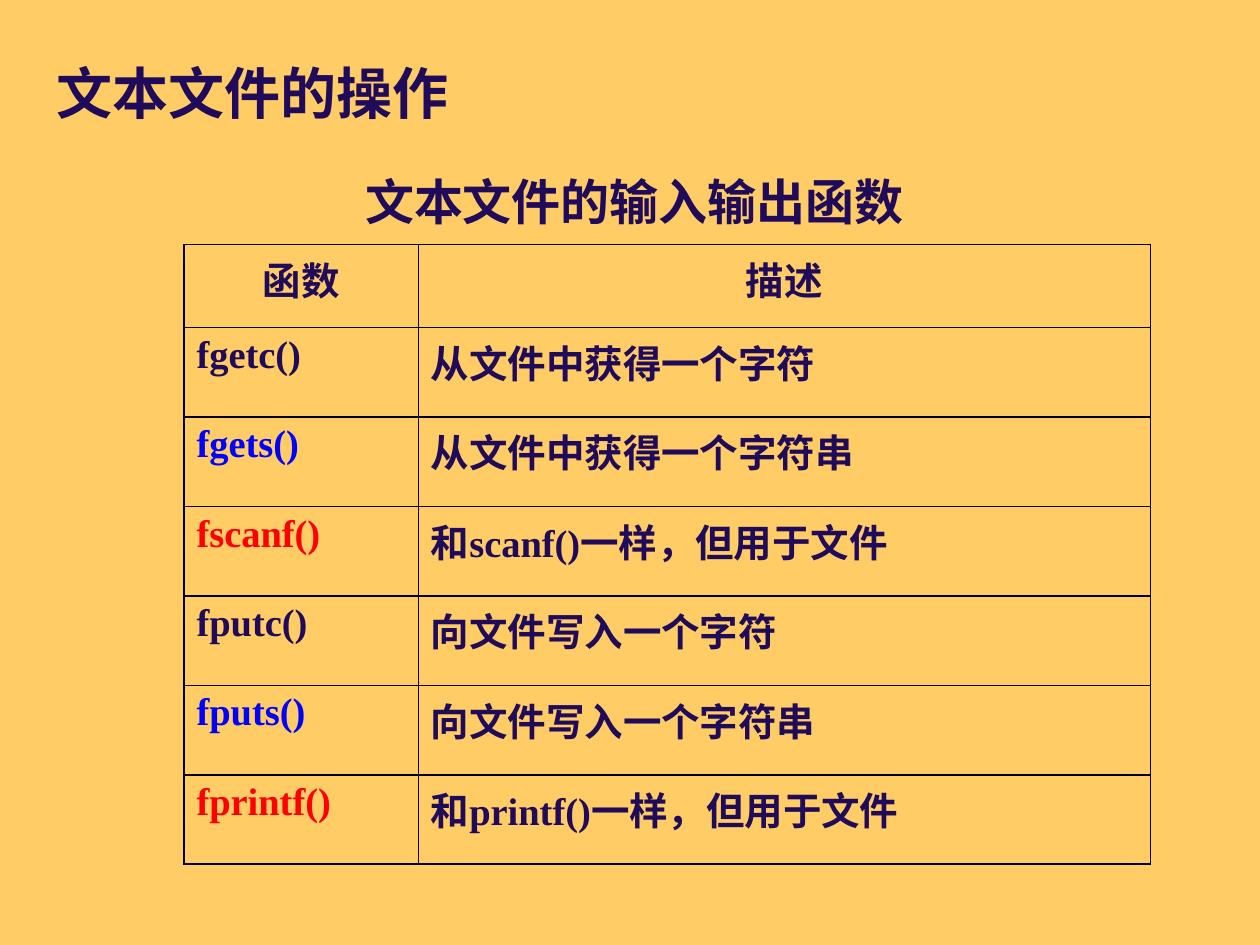
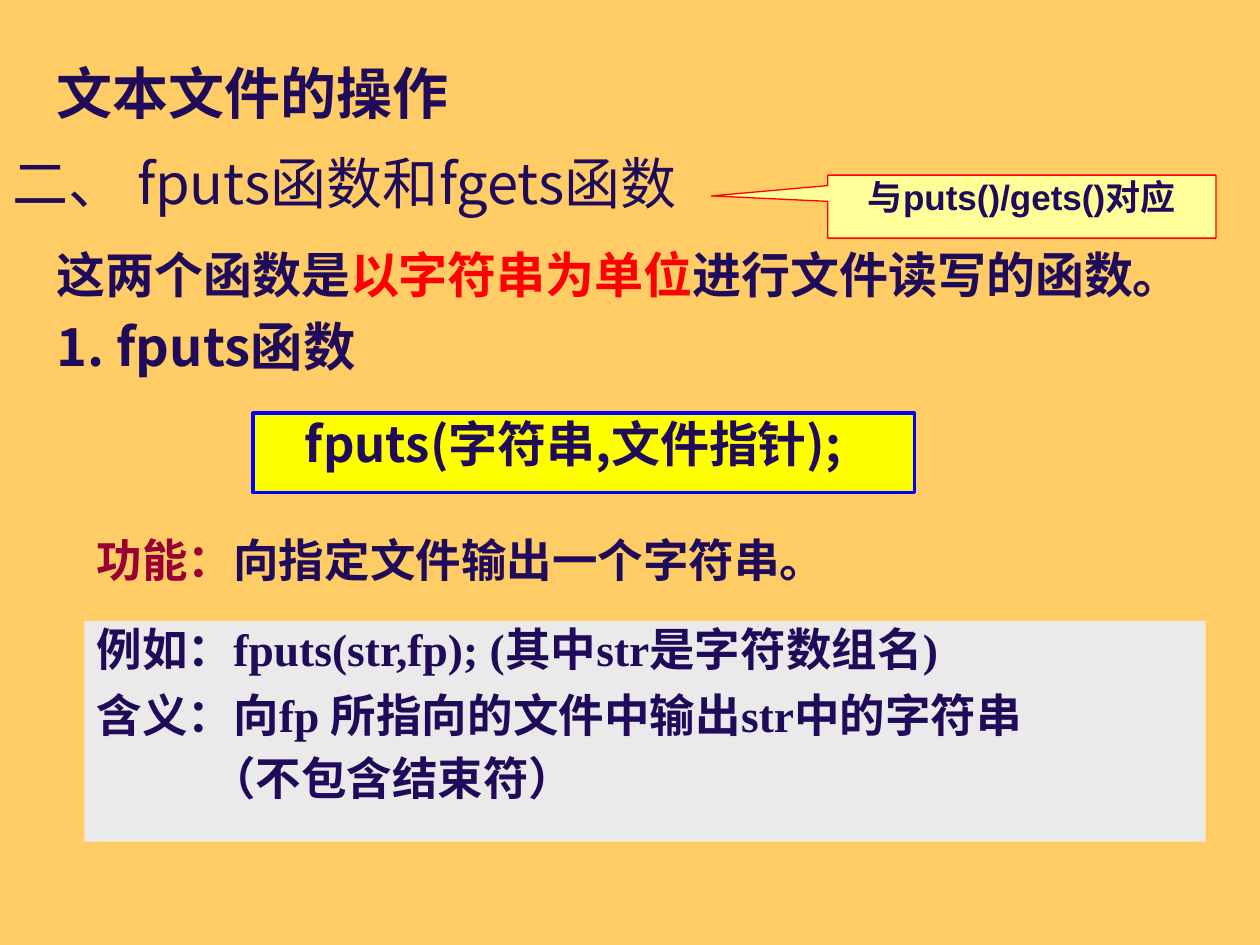
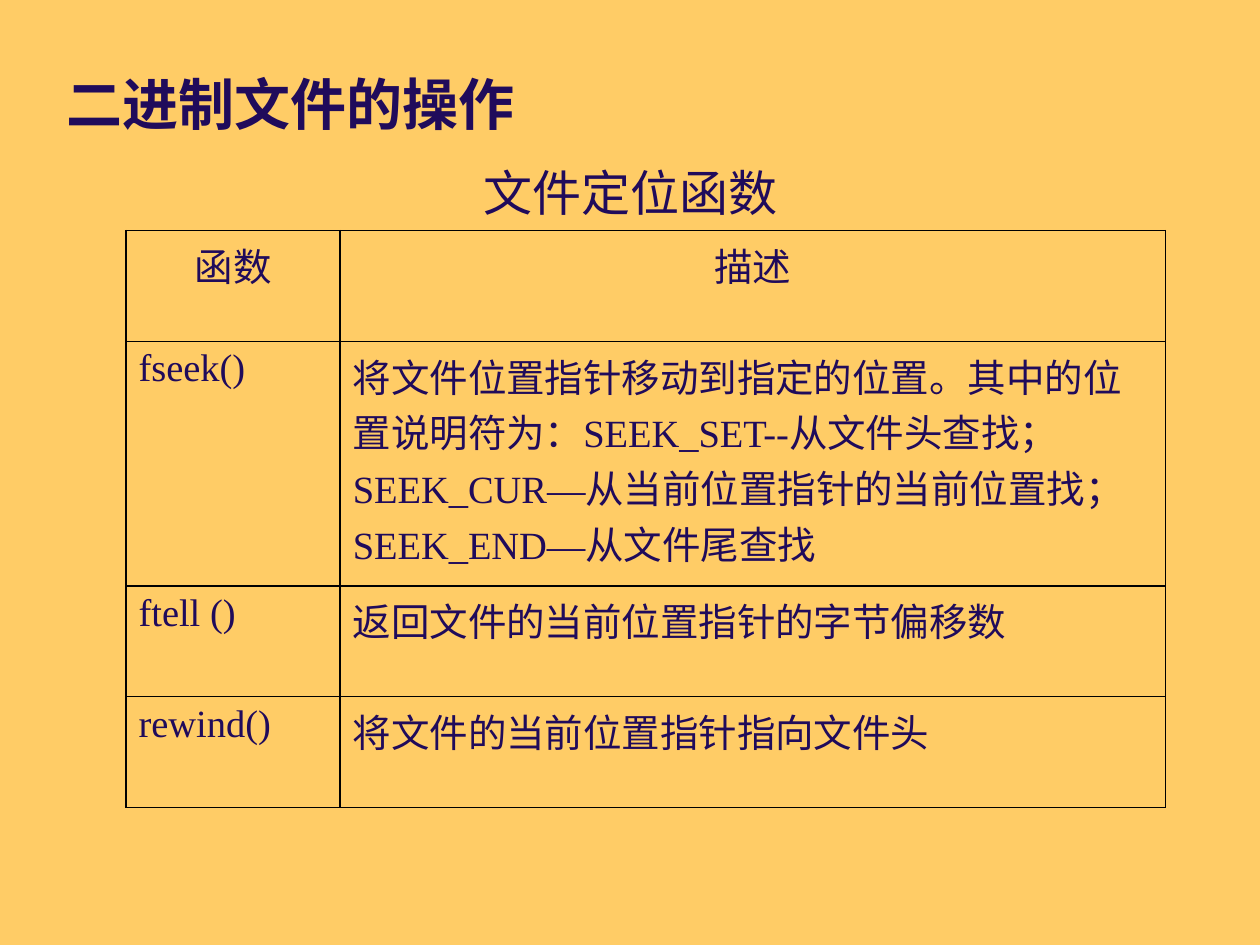
from lxml import etree
from pptx import Presentation
from pptx.dml.color import RGBColor
from pptx.enum.shapes import MSO_SHAPE
from pptx.enum.text import MSO_ANCHOR, PP_ALIGN
from pptx.oxml.ns import qn
from pptx.util import Inches, Pt

RECT = MSO_SHAPE.RECTANGLE
CALL = MSO_SHAPE.RECTANGULAR_CALLOUT
TOP, MID = MSO_ANCHOR.TOP, MSO_ANCHOR.MIDDLE
LEFT, MIDDLE = PP_ALIGN.LEFT, PP_ALIGN.CENTER

HEX = {
    "page": "FFCC66", "ink": "200B5B", "blue": "0000FF", "red": "FF0000",
    "wine": "990033", "grey": "EAEAEA", "yellow": "FFFF00",
    "pale": "FFFF99", "black": "000000",
}
SANS, SERIF, ARIAL = "Noto Sans CJK SC", "Times New Roman", "Arial"


def color(name):
    return RGBColor.from_string(HEX[name])


def add_run(para, text, size, font, bold=True, ink="ink"):
    run = para.add_run()
    run.text = text
    run.font.size = Pt(size)
    run.font.name = font
    run.font.bold = bold
    run.font.color.rgb = color(ink)
    east = etree.SubElement(run.font._element, qn("a:ea"))
    east.set("typeface", SANS)


def write(frame, runs, size, font, bold=True, align=LEFT):
    para = frame.paragraphs[0]
    para.alignment = align
    for text, ink in runs:
        add_run(para, text, size, font, bold, ink)


def set_frame(frame, anchor, wrap=True):
    frame.word_wrap = wrap
    frame.vertical_anchor = anchor
    if anchor == TOP:
        frame.margin_top = 0


def add_text(slide, box, runs, size, font, bold=True, anchor=TOP, wrap=True):
    shape = slide.shapes.add_textbox(*map(Inches, box))
    set_frame(shape.text_frame, anchor, wrap)
    write(shape.text_frame, runs, size, font, bold)


def add_title(slide, text, left=0.35, top=0.28):
    add_text(slide, (left, top, 7.88, 0.91), [(text, "ink")], 32, SANS, anchor=MID)


def add_panel(slide, kind, box, fill, line=None, width=1):
    shape = slide.shapes.add_shape(kind, *map(Inches, box))
    shape.shadow.inherit = False
    shape.fill.solid()
    shape.fill.fore_color.rgb = color(fill)
    if line:
        shape.line.color.rgb = color(line)
        shape.line.width = Pt(width)
    else:
        shape.line.fill.background()
    set_frame(shape.text_frame, TOP)
    return shape


def add_edges(cell):
    props = cell._tc.get_or_add_tcPr()
    for index, side in enumerate(("a:lnL", "a:lnR", "a:lnT", "a:lnB")):
        edge = etree.Element(qn(side), w=str(Pt(1)))
        fill = etree.SubElement(edge, qn("a:solidFill"))
        etree.SubElement(fill, qn("a:srgbClr"), val=HEX["black"])
        props.insert(index, edge)


def add_grid(slide, left, top, cols, highs, rows, bold):
    box = map(Inches, (left, top, sum(cols), sum(highs)))
    grid = slide.shapes.add_table(len(rows), len(cols), *box).table
    grid.first_row = grid.horz_banding = False
    for col, wide in zip(grid.columns, cols):
        col.width = Inches(wide)
    for index, (row, high) in enumerate(zip(rows, highs)):
        grid.rows[index].height = Inches(high)
        name, note, ink = row
        align = LEFT if index else MIDDLE
        for cell, run in zip(grid.rows[index].cells, ((name, ink), (note, "ink"))):
            cell.fill.background()
            add_edges(cell)
            write(cell.text_frame, [run], 22, SERIF, bold, align)


def build_text_io(slide):
    add_text(slide, (2.8, 1.31, 4.5, 0.57), [("文本文件的输入输出函数", "ink")],
             28, ARIAL, anchor=MID)
    rows = [
        ("函数", "描述", "ink"),
        ("fgetc()", "从文件中获得一个字符", "ink"),
        ("fgets()", "从文件中获得一个字符串", "blue"),
        ("fscanf()", "和scanf()一样，但用于文件", "red"),
        ("fputc()", "向文件写入一个字符", "ink"),
        ("fputs()", "向文件写入一个字符串", "blue"),
        ("fprintf()", "和printf()一样，但用于文件", "red"),
    ]
    highs = [0.66] + [0.71] * 6
    add_grid(slide, 1.46, 1.94, (1.86, 5.81), highs, rows, True)
    add_title(slide, "文本文件的操作")


def build_fputs(slide):
    add_text(slide, (0, 1.07, 8.67, 0.75), [("二、 fputs函数和fgets函数", "ink")],
             32, SANS, False, MID)
    add_text(slide, (0.35, 1.94, 9.22, 0.57),
             [("这两个函数是", "ink"), ("以字符串为单位", "red"),
              ("进行文件读写的函数。", "ink")], 28, SERIF)

    code = add_panel(slide, RECT, (2.01, 3.28, 5.25, 0.63), "yellow", "blue", 2)
    code.text_frame.margin_left = Inches(0.41)
    write(code.text_frame, [("fputs(字符串,文件指针);", "ink")], 28, SANS)

    add_text(slide, (0.35, 2.49, 4.33, 0.6), [("1. fputs函数", "ink")], 30, SANS)
    add_text(slide, (0.67, 4.22, 7.17, 0.53),
             [("功能：", "wine"), ("向指定文件输出一个字符串。", "ink")], 26, SERIF)

    sample = add_panel(slide, RECT, (0.67, 4.93, 8.9, 1.75), "grey").text_frame
    write(sample, [("例如：fputs(str,fp); (其中str是字符数组名)", "ink")], 26, SERIF)
    for text, left in (("含义：向fp 所指向的文件中输出str中的字符串", 0),
                       ("（不包含结束符）", 0.9)):
        para = sample.add_paragraph()
        para.alignment = LEFT
        para.line_spacing = 0.6
        para.space_before = Pt(17.5)
        props = para._p.get_or_add_pPr()
        props.set("marL", str(Inches(left)))
        props.set("indent", "0")
        add_run(para, text, 26, SERIF)

    call = add_panel(slide, CALL, (6.57, 1.39, 3.08, 0.5), "pale", "red", 0.75)
    call.adjustments[0] = -0.8
    call.adjustments[1] = -0.17
    write(call.text_frame, [("与puts()/gets()对应", "ink")], 20, ARIAL, align=MIDDLE)
    add_title(slide, "文本文件的操作")


def build_seek(slide):
    add_text(slide, (3.74, 1.24, 2.53, 0.57), [("文件定位函数", "ink")],
             28, ARIAL, False, MID, False)
    rows = [
        ("函数", "描述", "ink"),
        ("fseek()", "将文件位置指针移动到指定的位置。其中的位置说明符为："
         "SEEK_SET--从文件头查找；SEEK_CUR—从当前位置指针的当前位置找；"
         "SEEK_END—从文件尾查找", "ink"),
        ("ftell ()", "返回文件的当前位置指针的字节偏移数", "ink"),
        ("rewind()", "将文件的当前位置指针指向文件头", "ink"),
    ]
    add_grid(slide, 1, 1.83, (1.7, 6.55), (0.88, 1.94, 0.88, 0.88), rows, False)
    add_title(slide, "二进制文件的操作", 0.43, 0.36)


def main():
    deck = Presentation()
    deck.slide_width = Inches(10)
    deck.slide_height = Inches(7.5)
    back = deck.slide_master.background.fill
    back.solid()
    back.fore_color.rgb = color("page")
    for build in (build_text_io, build_fputs, build_seek):
        build(deck.slides.add_slide(deck.slide_layouts[6]))
    deck.save("out.pptx")


if __name__ == "__main__":
    main()
